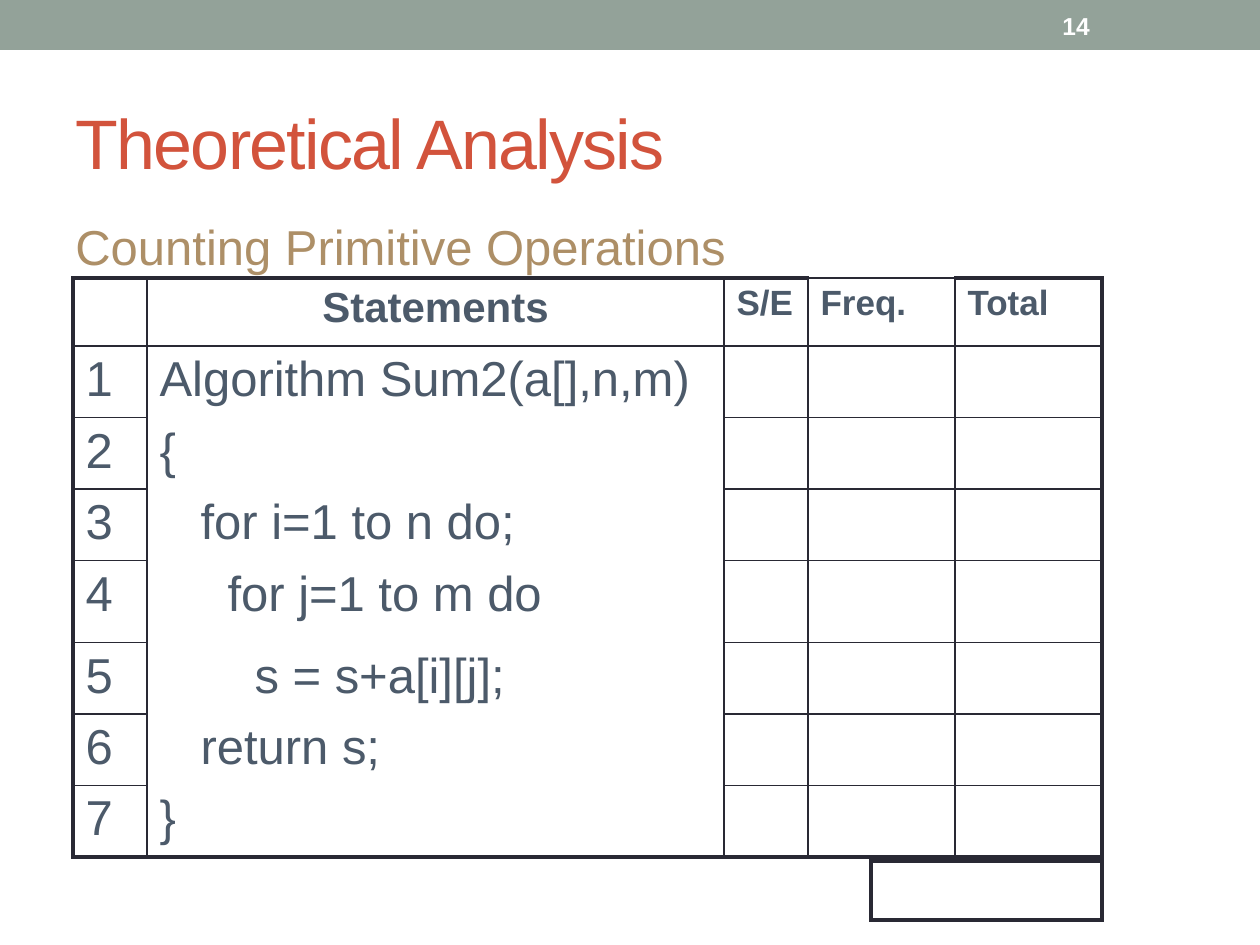
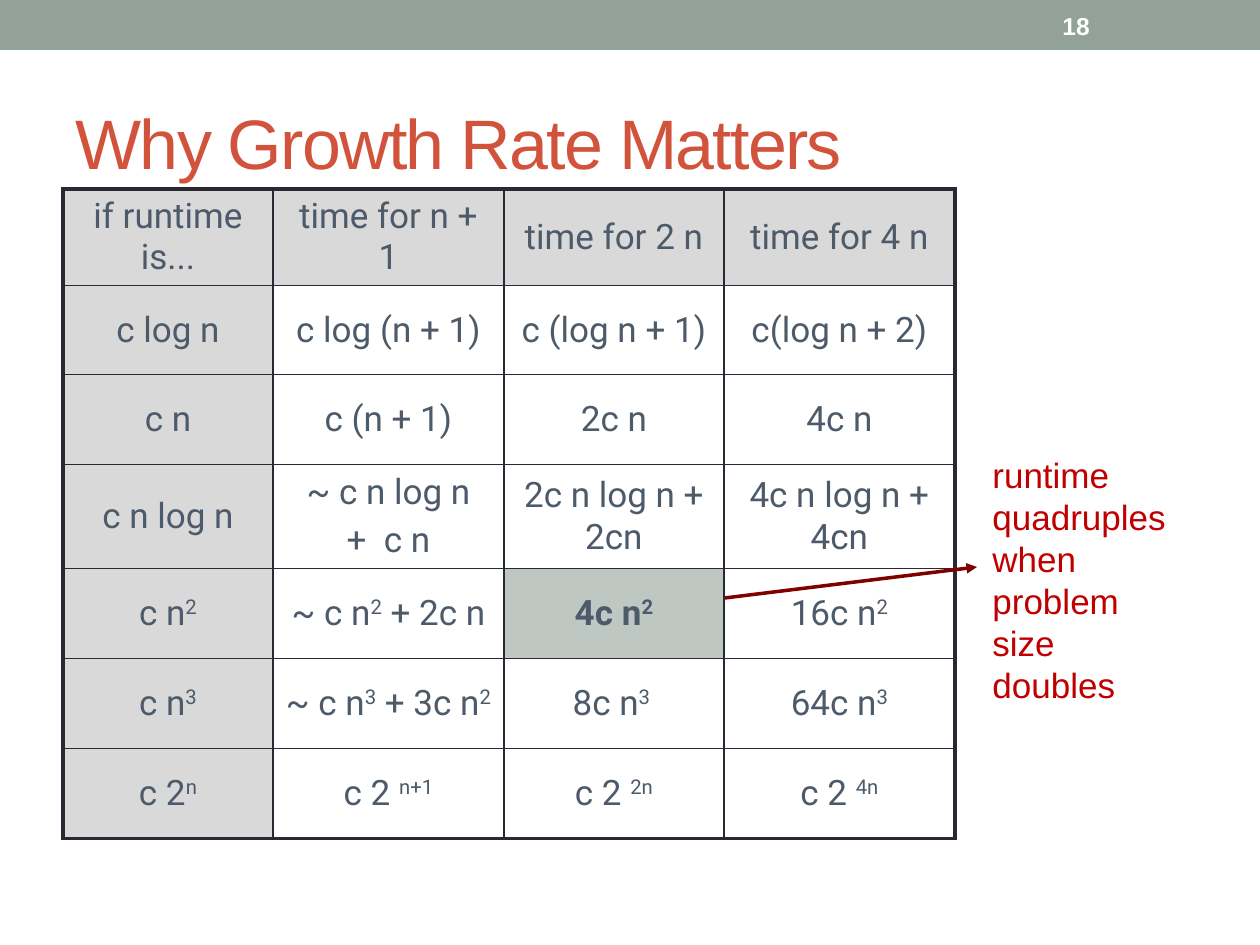
"""Build two algorithm-analysis slides: counting operations and growth rates."""
import pptx
import pptx.dml.color
import pptx.enum.shapes
import pptx.enum.text
import pptx.oxml.ns
import pptx.util
from lxml import etree

ALIGN = pptx.enum.text.PP_ALIGN
ANCHOR = pptx.enum.text.MSO_ANCHOR
EMU_PER_PX = 914400 / 126

THEME = {
    "font": "Arial", "math_font": "Roboto",
    "band": "93A299", "white": "FFFFFF", "title": "D2533C", "subtitle": "AD8F67",
    "ink": "4C5A6A", "rule": "292934", "label": "D9D9D9", "highlight": "BEC7C2",
    "arrow": "800000", "note": "C00000",
    "title_size": 40, "large": 28, "heading": 24, "regular": 20, "number": 14,
    "thin": 1, "thick": 2.25, "arrow_width": 2,
}

BAND = (0, 0, 1260, 50)
TITLE_BOX = (63, 73, 1134, 136)
NUMBER_BOX = (1050, 3, 147, 45)

COUNTING = {
    "number": "14",
    "title": "Theoretical Analysis",
    "subtitle": "Counting Primitive Operations",
    "header": ["", "Statements", "S/E", "Freq.", "Total"],
    "statements": [
        (0, "Algorithm Sum2(a[],n,m)"),
        (0, "{"),
        (1, "for i=1 to n do;"),
        (2, "for j=1 to m do"),
        (3, "s = s+a[i][j];"),
        (1, "return s;"),
        (0, "}"),
    ],
    "columns": [74, 577, 84, 147, 147],
    "rows": [68, 70, 70, 70, 82, 70, 70, 70],
}

# In growth formulas, every second part between bars is a superscript.
GROWTH = {
    "number": "18",
    "title": "Why Growth Rate Matters",
    "formulas": [
        ["if runtime is...", "time for n + 1", "time for 2 n", "time for 4 n"],
        ["c log n", "c log (n + 1)", "c (log n + 1)", "c(log n + 2)"],
        ["c n", "c (n + 1)", "2c n", "4c n"],
        ["c n log n", "~ c n log n\n+  c n", "2c n log n + 2cn", "4c n log n + 4cn"],
        ["c n|2", "~ c n|2| + 2c n", "4c n|2", "16c n|2"],
        ["c n|3", "~ c n|3| + 3c n|2", "8c n|3 ", "64c n|3"],
        ["c 2|n", "c 2 |n+1", "c 2 |2n", "c 2 |4n"],
    ],
    "highlight": (4, 2),
    "note": "runtime\nquadruples\nwhen problem\nsize doubles",
    "columns": [210, 231, 220, 231],
    "rows": [95, 89, 90, 102, 90, 90, 90],
}


def px(length):
    return pptx.util.Emu(round(length * EMU_PER_PX))


def box(*lengths):
    return [px(length) for length in lengths]


def color(name):
    return pptx.dml.color.RGBColor.from_string(THEME[name])


def write(frame, text, size="regular", ink="ink", font="font", bold=False,
          align=ALIGN.LEFT, anchor=ANCHOR.TOP, wrap=True, indent=0,
          gap=0, tracking=0):
    """Fill a text frame; a bar in the text toggles superscript."""
    frame.word_wrap = wrap
    frame.vertical_anchor = anchor
    for position, line in enumerate(text.split("\n")):
        paragraph = frame.add_paragraph() if position else frame.paragraphs[0]
        paragraph.alignment = align
        if position and gap:
            paragraph.space_before = pptx.util.Pt(gap)
        if indent:
            paragraph._p.get_or_add_pPr().set("marL", str(px(indent)))
        for part, words in enumerate(line.split("|")):
            run = paragraph.add_run()
            run.text = words
            run.font.name = THEME[font]
            run.font.size = pptx.util.Pt(THEME[size])
            run.font.bold = bold
            run.font.color.rgb = color(ink)
            properties = run._r.get_or_add_rPr()
            if part % 2:
                properties.set("baseline", "30000")
            if tracking:
                properties.set("spc", str(tracking * 100))


def add_text(slide, bounds, text, **format):
    write(slide.shapes.add_textbox(*box(*bounds)).text_frame, text, **format)


def add_band(slide, master):
    """Draw the top band and hand it to the master, behind everything."""
    band = slide.shapes.add_shape(pptx.enum.shapes.MSO_SHAPE.RECTANGLE, *box(*BAND))
    band.shadow.inherit = False
    band.fill.solid()
    band.fill.fore_color.rgb = color("band")
    band.line.fill.background()
    master.shapes._spTree.insert(2, band._element)


def add_slide(deck, content):
    slide = deck.slides.add_slide(deck.slide_layouts[5])
    title = slide.shapes.title
    title.left, title.top, title.width, title.height = box(*TITLE_BOX)
    write(title.text_frame, content["title"], size="title_size", ink="title",
          anchor=ANCHOR.MIDDLE, tracking=-1)
    add_text(slide, NUMBER_BOX, content["number"], size="number", ink="white",
             bold=True, anchor=ANCHOR.MIDDLE)
    return slide


def set_border(cell, order, side, width):
    line = etree.Element(pptx.oxml.ns.qn("a:ln" + side), w=str(pptx.util.Pt(width)))
    if width:
        fill = etree.SubElement(line, pptx.oxml.ns.qn("a:solidFill"))
        etree.SubElement(fill, pptx.oxml.ns.qn("a:srgbClr"), val=THEME["rule"])
    else:
        etree.SubElement(line, pptx.oxml.ns.qn("a:noFill"))
    cell._tc.get_or_add_tcPr().insert(order, line)


def add_grid(slide, left, top, widths, heights, texts, style, fills={}, borders={}):
    """Add a ruled table with a thick outer frame, save for the given borders."""
    table = slide.shapes.add_table(
        len(heights), len(widths), *box(left, top, sum(widths), sum(heights))).table
    table.first_row = table.horz_banding = False
    for column, width in zip(table.columns, widths):
        column.width = px(width)
    for row, height in zip(table.rows, heights):
        row.height = px(height)
    for r, line in enumerate(texts):
        for c, text in enumerate(line):
            cell = table.cell(r, c)
            if (r, c) in fills:
                cell.fill.solid()
                cell.fill.fore_color.rgb = color(fills[r, c])
            else:
                cell.fill.background()
            outer = {"L": c == 0, "R": c == len(widths) - 1,
                     "T": r == 0, "B": r == len(heights) - 1}
            for order, (side, is_outer) in enumerate(outer.items()):
                width = THEME["thick" if is_outer else "thin"]
                set_border(cell, order, side, borders.get((r, c, side), width))
            if text:
                format = style(r, c)
                cell.vertical_anchor = format.get("anchor", ANCHOR.TOP)
                write(cell.text_frame, text, **format)


def build_counting(slide):
    statements = COUNTING["statements"]
    add_text(slide, (63, 210, 684, 72), COUNTING["subtitle"], size="large",
             ink="subtitle", wrap=False)

    def style(r, c):
        if r == 0:
            return (dict(size="heading", bold=True, align=ALIGN.CENTER) if c == 1
                    else dict(bold=True))
        level = statements[r - 1][0] if c == 1 else 0
        return dict(size="large", indent=14 + 27 * level if level else 0)

    texts = [COUNTING["header"]] + [
        [str(number), statement, "", "", ""]
        for number, (level, statement) in enumerate(statements, 1)]
    borders = {(0, 3, "T"): THEME["thin"]}
    for r in range(1, len(statements)):
        borders[r, 1, "B"] = borders[r + 1, 1, "T"] = 0
    add_grid(slide, 73, 278, COUNTING["columns"], COUNTING["rows"], texts, style,
             borders=borders)
    add_grid(slide, 871, 861, [231], [59], [[""]], style)


def build_growth(slide):
    formulas = GROWTH["formulas"]
    highlight = GROWTH["highlight"]
    fills = {(r, c): "label" for r, line in enumerate(formulas)
             for c in range(len(line)) if r == 0 or c == 0}
    fills[highlight] = "highlight"

    def style(r, c):
        return dict(font="math_font", align=ALIGN.CENTER, anchor=ANCHOR.MIDDLE,
                    gap=4, bold=(r, c) == highlight)

    add_grid(slide, 63, 189, GROWTH["columns"], GROWTH["rows"], formulas, style, fills)

    arrow = slide.shapes.add_connector(
        pptx.enum.shapes.MSO_CONNECTOR.STRAIGHT, *box(725, 598, 977, 567))
    arrow.line.color.rgb = color("arrow")
    arrow.line.width = pptx.util.Pt(THEME["arrow_width"])
    etree.SubElement(arrow.line._get_or_add_ln(), pptx.oxml.ns.qn("a:tailEnd"),
                     type="triangle")
    etree.SubElement(arrow._element.spPr, pptx.oxml.ns.qn("a:effectLst"))
    add_text(slide, (980, 447, 217, 224), GROWTH["note"], ink="note")


def main():
    deck = pptx.Presentation()
    deck.slide_width, deck.slide_height = box(1260, 945)
    counting = add_slide(deck, COUNTING)
    add_band(counting, deck.slide_master)
    build_counting(counting)
    build_growth(add_slide(deck, GROWTH))
    deck.save("out.pptx")


if __name__ == "__main__":
    main()
